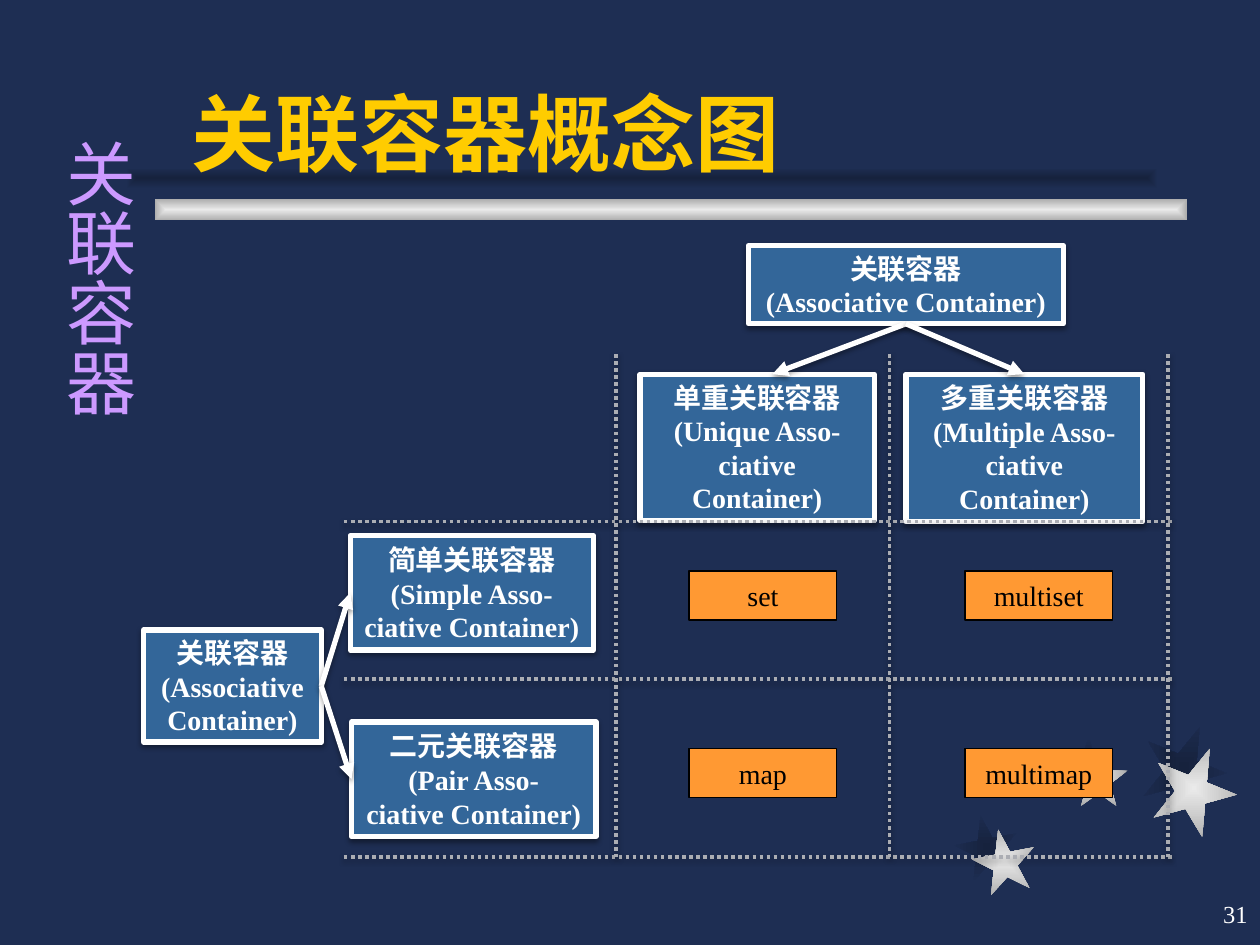
from pptx import Presentation
from pptx.dml.color import RGBColor
from pptx.enum.dml import MSO_LINE
from pptx.enum.shapes import MSO_CONNECTOR, MSO_SHAPE
from pptx.enum.text import MSO_ANCHOR, MSO_AUTO_SIZE, PP_ALIGN
from pptx.oxml import parse_xml
from pptx.oxml.ns import nsdecls, qn
from pptx.util import Inches, Pt
from lxml import etree

SERIF = "Times New Roman"
CJK = "Noto Sans CJK SC"
DARK = ("16223D", "1E2E53")
PALE = ("EAEAEA", "ADADAD")


def color(code):
    return RGBColor.from_string(code)


def spots(box):
    return [Inches(n) for n in box]


def write(shape, text, size=16, font=SERIF, ink="FFFFFF", bold=False,
          align=PP_ALIGN.CENTER, anchor=MSO_ANCHOR.MIDDLE, wrap=True):
    frame = shape.text_frame
    frame.text = text
    frame.word_wrap = wrap
    frame.vertical_anchor = anchor
    for para in frame.paragraphs:
        para.alignment = align
        for run in para.runs:
            run.font.size = Pt(size)
            run.font.bold = bold
            run.font.color.rgb = color(ink)
            run.font.name = font
            east = etree.SubElement(run.font._element, qn("a:ea"))
            east.set("typeface", CJK)


def shade(shape):
    """Give a shape or connector a soft shadow straight below it."""
    shape._element.spPr.append(parse_xml(
        f'<a:effectLst {nsdecls("a")}><a:outerShdw blurRad="{Pt(3.1)}" '
        f'dist="{Pt(1.6)}" dir="5400000" rotWithShape="0">'
        '<a:srgbClr val="000000"><a:alpha val="38000"/></a:srgbClr>'
        '</a:outerShdw></a:effectLst>'))


def block(slide, box, fill, edge, width):
    shape = slide.shapes.add_shape(MSO_SHAPE.RECTANGLE, *spots(box))
    shape.fill.solid()
    shape.fill.fore_color.rgb = color(fill)
    shape.line.color.rgb = color(edge)
    shape.line.width = Pt(width)
    return shape


def card(slide, box, text):
    shape = block(slide, box, "336699", "FFFFFF", 3)
    write(shape, text, bold=True)
    shade(shape)
    return shape


def line(slide, start, end, ink, width):
    link = slide.shapes.add_connector(
        MSO_CONNECTOR.STRAIGHT, *spots(start + end))
    link.line.color.rgb = color(ink)
    link.line.width = Pt(width)
    return link


def arrow(slide, start, end):
    link = line(slide, start, end, "FFFFFF", 3)
    etree.SubElement(link.line._get_or_add_ln(), qn("a:tailEnd"),
                     type="triangle")
    shade(link)
    return link


def glow(slide, kind, box, tones, turn=0):
    """Draw a shape whose colour runs from its centre to its edges."""
    shape = slide.shapes.add_shape(kind, *spots(box))
    shape.rotation = turn
    shape.line.fill.background()
    shape.shadow.inherit = False
    inner, outer = tones
    shape._element.spPr.find(qn("a:prstGeom")).addnext(parse_xml(
        f'<a:gradFill {nsdecls("a")} rotWithShape="1"><a:gsLst>'
        f'<a:gs pos="0"><a:srgbClr val="{inner}"/></a:gs>'
        f'<a:gs pos="100000"><a:srgbClr val="{outer}"/></a:gs></a:gsLst>'
        '<a:path path="shape"><a:fillToRect l="50000" t="50000" '
        'r="50000" b="50000"/></a:path></a:gradFill>'))


def decor(slide):
    # Stars: left and top of shadow, then of star, size, turn
    stars = [((7.58, 6.47), (7.72, 6.58), 0.5, 349),
             ((8.41, 5.85), (8.49, 5.94), 0.46, 0),
             ((9.06, 5.75), (9.14, 5.92), 0.67, 22)]
    for layer, tones in enumerate((DARK, PALE)):
        for star in stars:
            size, turn = star[2:]
            glow(slide, MSO_SHAPE.STAR_5_POINT,
                 star[layer] + (size, size), tones, turn)
    # Bar under the title and its shadow
    glow(slide, MSO_SHAPE.RECTANGLE, (1.23, 1.58, 8.19, 0.17), PALE)
    glow(slide, MSO_SHAPE.RECTANGLE, (1, 1.33, 8.19, 0.17), DARK)


def heading(slide, box):
    title = slide.shapes.title
    title.left, title.top, title.width, title.height = spots(box)
    write(title, "关联容器概念图", size=48, font="Arial", ink="FFCC00",
          bold=True, align=PP_ALIGN.LEFT, anchor=MSO_ANCHOR.BOTTOM)
    # Bring the title in front of the bar
    slide.shapes.element.append(title._element)


def number(slide, box):
    note = slide.shapes.add_textbox(*spots(box))
    write(note, "31", size=14, align=PP_ALIGN.RIGHT, wrap=False)


def side(slide, box):
    label = slide.shapes.add_textbox(*spots(box))
    write(label, "关联容器", size=40, font=CJK, ink="CC99FF",
          anchor=MSO_ANCHOR.TOP)
    label.text_frame.auto_size = MSO_AUTO_SIZE.SHAPE_TO_FIT_TEXT
    label.text_frame._txBody.bodyPr.set("vert", "eaVert")


def columns(slide):
    top = card(slide, (5.94, 1.95, 2.5, 0.62),
               "关联容器\n(Associative Container)")
    card(slide, (5.08, 2.97, 1.86, 1.16),
         "单重关联容器\n(Unique Asso-\vciative Container)")
    many = card(slide, (7.19, 2.97, 1.88, 1.17),
                "多重关联容器\n(Multiple Asso-\vciative Container)")
    for end in (6.13, 8.13):
        link = arrow(slide, (7.17, 2.58), (end, 2.97))
        link.begin_connect(top, 2)
    link.end_connect(many, 0)


def rows(slide):
    root = card(slide, (1.14, 5, 1.41, 0.89),
                "关联容器\n(Associative Container)")
    kids = [card(slide, (2.78, 4.25, 1.93, 0.91),
                 "简单关联容器\n(Simple Asso-\vciative Container)"),
            card(slide, (2.79, 5.73, 1.94, 0.91),
                 "二元关联容器\n(Pair Asso-\vciative Container)")]
    for kid in kids:
        link = arrow(slide, (2.55, 5.44), (2.78, 4.7))
        link.begin_connect(root, 3)
        link.end_connect(kid, 1)


def grid(slide):
    # Dotted rules
    ends = [((2.73, y), (9.3, y)) for y in (4.14, 5.39, 6.8)]
    ends += [((x, 2.81), (x, 6.8)) for x in (4.89, 7.06, 9.27)]
    for start, end in ends:
        rule = line(slide, start, end, "ABADB3", 2)
        rule.line.dash_style = MSO_LINE.ROUND_DOT
        shade(rule)
    # Container names
    names = [("set", "multiset"), ("map", "multimap")]
    for y, pair in zip((4.53, 5.94), names):
        for x, name in zip((5.47, 7.66), pair):
            cell = block(slide, (x, y, 1.17, 0.39), "FF9933", "000000", 1)
            cell.shadow.inherit = False
            write(cell, name, ink="000000")


def main():
    deck = Presentation()
    deck.slide_width, deck.slide_height = Inches(10), Inches(7.5)
    slide = deck.slides.add_slide(deck.slide_layouts[5])
    slide.background.fill.solid()
    slide.background.fill.fore_color.rgb = color("1E2E53")
    decor(slide)
    heading(slide, (1.42, 0.25, 7.83, 1.25))
    number(slide, (7.92, 7, 2.08, 0.5))
    columns(slide)
    rows(slide)
    grid(slide)
    side(slide, (0.29, 1, 0.88, 5.42))
    deck.save("out.pptx")


if __name__ == "__main__":
    main()
